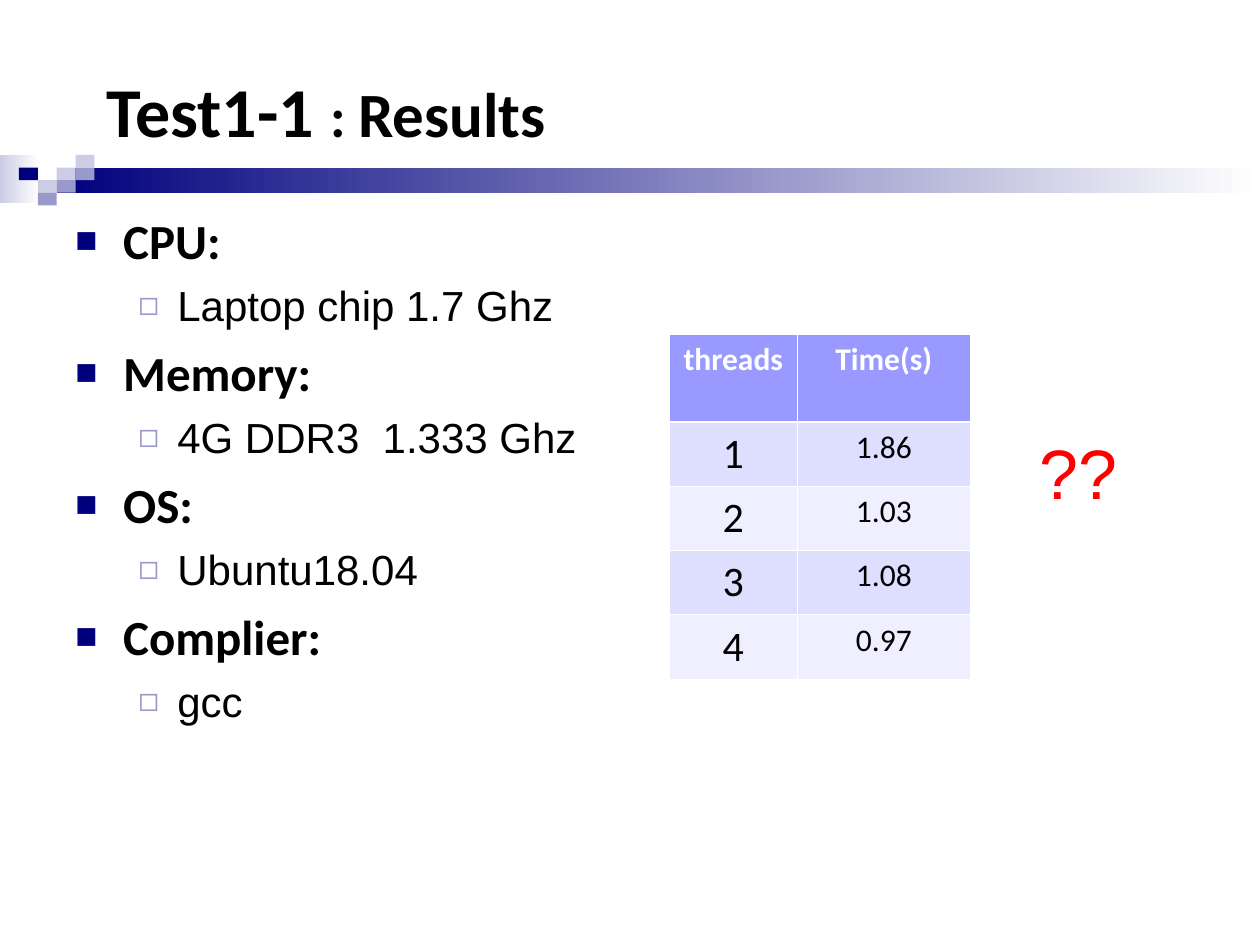
import pptx
import pptx.util
import pptx.dml.color
import pptx.enum.shapes
import pptx.enum.text
import pptx.oxml
from lxml import etree

WIDTH, HEIGHT = 10, 7.5
NAVY, LAVENDER, PALE = "00007D", "9999CC", "CCCCE6"
WHITE, BLACK, RED = "FFFFFF", "000000", "FF0000"
HEADER_FILL, ROW_FILLS = "9999FF", ("DEDEFF", "EFEFFF")

TITLE = [("Test1-1 ", 40), (": ", 32), ("Results", 36)]
MACHINE = [
    ("CPU:", "Laptop chip 1.7 Ghz"),
    ("Memory:", "4G DDR3  1.333 Ghz"),
    ("OS:", "Ubuntu18.04"),
    ("Complier:", "gcc"),
]
TIMES = [
    ("threads", "Time(s)"),
    ("1", "1.86"),
    ("2", "1.03"),
    ("3", "1.08"),
    ("4", "0.97"),
]
COLUMN_WIDTHS = (1.02, 1.37)
HEADER_HEIGHT, ROW_HEIGHT = 0.7, 0.51

# Banner: gradient bars, then tiles as (column, row, colour) of a small grid
BARS = [((0, 1.23, 0.31, 0.38), PALE), ((0.45, 1.33, 9.55, 0.2), NAVY)]
TILE_LEFT, TILE_TOP, TILE_WIDTH, TILE_HEIGHT = 0.15, 1.23, 0.15, 0.1
TILES = [
    (2, 1, PALE), (3, 0, PALE), (3, 1, LAVENDER), (1, 2, PALE),
    (0, 1, NAVY), (2, 2, LAVENDER), (1, 3, LAVENDER),
]

# Bullet levels: character, colour, size %, left margin, hanging indent, space before
BULLETS = [
    ("■", NAVY, 75, 0.38, 0.38, 7),
    ("◻", LAVENDER, 80, 0.81, 0.31, 6),
]


def rgb(colour):
    return pptx.dml.color.RGBColor.from_string(colour)


def inches(*lengths):
    return [pptx.util.Inches(length) for length in lengths]


def add_run(paragraph, text, *, size, font="Calibri", colour=BLACK, bold=False):
    run = paragraph.add_run()
    run.text = text
    run.font.size = pptx.util.Pt(size)
    run.font.name = font
    run.font.bold = bold
    run.font.color.rgb = rgb(colour)


def add_text_frame(slide, box, anchor=pptx.enum.text.MSO_ANCHOR.TOP):
    frame = slide.shapes.add_textbox(*inches(*box)).text_frame
    frame.word_wrap = True
    frame.vertical_anchor = anchor
    return frame


def add_rectangle(slide, box, colour, fade=False):
    shape = slide.shapes.add_shape(
        pptx.enum.shapes.MSO_SHAPE.RECTANGLE, *inches(*box))
    shape.shadow.inherit = False
    shape.line.fill.background()
    if fade:
        shape.fill.gradient()
        shape.fill.gradient_angle = 0
        for stop, stop_colour in zip(shape.fill.gradient_stops, (colour, WHITE)):
            stop.color.rgb = rgb(stop_colour)
    else:
        shape.fill.solid()
        shape.fill.fore_color.rgb = rgb(colour)


def set_bullet(paragraph, level):
    character, colour, percent, margin, hanging, _ = BULLETS[level]
    paragraph.level = level
    properties = paragraph._p.get_or_add_pPr()
    properties.set("marL", str(pptx.util.Inches(margin)))
    properties.set("indent", str(-pptx.util.Inches(hanging)))
    qn = pptx.oxml.ns.qn
    bullet_colour = etree.SubElement(properties, qn("a:buClr"))
    etree.SubElement(bullet_colour, qn("a:srgbClr"), val=colour)
    etree.SubElement(properties, qn("a:buSzPct"), val=str(percent * 1000))
    etree.SubElement(properties, qn("a:buFont"), typeface="Arial")
    etree.SubElement(properties, qn("a:buChar"), char=character)


def set_borders(cell, widths):
    properties = cell._tc.get_or_add_tcPr()
    qn = pptx.oxml.ns.qn
    for side, width in widths.items():
        line = etree.SubElement(
            properties, qn("a:ln" + side), w=str(pptx.util.Pt(width)))
        fill = etree.SubElement(line, qn("a:solidFill"))
        etree.SubElement(fill, qn("a:srgbClr"), val=WHITE)


def add_times_table(slide, left, top):
    height = HEADER_HEIGHT + ROW_HEIGHT * (len(TIMES) - 1)
    table = slide.shapes.add_table(
        len(TIMES), len(COLUMN_WIDTHS),
        *inches(left, top, sum(COLUMN_WIDTHS), height)).table
    for column, width in zip(table.columns, COLUMN_WIDTHS):
        column.width = pptx.util.Inches(width)
    for r, values in enumerate(TIMES):
        header = r == 0
        table.rows[r].height = pptx.util.Inches(HEADER_HEIGHT if header else ROW_HEIGHT)
        for c, value in enumerate(values):
            cell = table.cell(r, c)
            set_borders(cell, {"L": 0.45, "R": 0.45,
                               "T": 1.47 if r == 1 else 0.45,
                               "B": 1.47 if header else 0.45})
            cell.fill.solid()
            cell.fill.fore_color.rgb = rgb(HEADER_FILL if header else ROW_FILLS[(r - 1) % 2])
            paragraph = cell.text_frame.paragraphs[0]
            paragraph.alignment = pptx.enum.text.PP_ALIGN.CENTER
            add_run(paragraph, value, bold=header,
                    size=24 if c == 0 and not header else 18,
                    colour=WHITE if header else BLACK)


def main():
    presentation = pptx.Presentation()
    presentation.slide_width, presentation.slide_height = inches(WIDTH, HEIGHT)
    slide = presentation.slides.add_slide(presentation.slide_layouts[6])

    # Banner
    for box, colour in BARS:
        add_rectangle(slide, box, colour, fade=True)
    for column, row, colour in TILES:
        add_rectangle(slide, (TILE_LEFT + column * TILE_WIDTH,
                              TILE_TOP + row * TILE_HEIGHT,
                              TILE_WIDTH, TILE_HEIGHT), colour)

    # Title
    title = add_text_frame(slide, (0.75, 0.42, 8.42, 0.89),
                           pptx.enum.text.MSO_ANCHOR.MIDDLE)
    for text, size in TITLE:
        add_run(title.paragraphs[0], text, size=size, bold=True)

    # Test machine
    body = add_text_frame(slide, (0.5, 1.62, 9, 5.04))
    formats = ({"size": 28, "bold": True}, {"size": 24, "font": "Arial"})
    for i, entry in enumerate(MACHINE):
        for level, text in enumerate(entry):
            first = i == level == 0
            paragraph = body.paragraphs[0] if first else body.add_paragraph()
            set_bullet(paragraph, level)
            paragraph.space_before = pptx.util.Pt(0 if first else BULLETS[level][-1])
            add_run(paragraph, text, **formats[level])

    # Timings and the open question beside them
    add_times_table(slide, 5.31, 2.65)
    question = add_text_frame(slide, (8.15, 3.36, 1.13, 0.77))
    add_run(question.paragraphs[0], "??", size=40, font="Arial", colour=RED)

    presentation.save("out.pptx")


if __name__ == "__main__":
    main()
